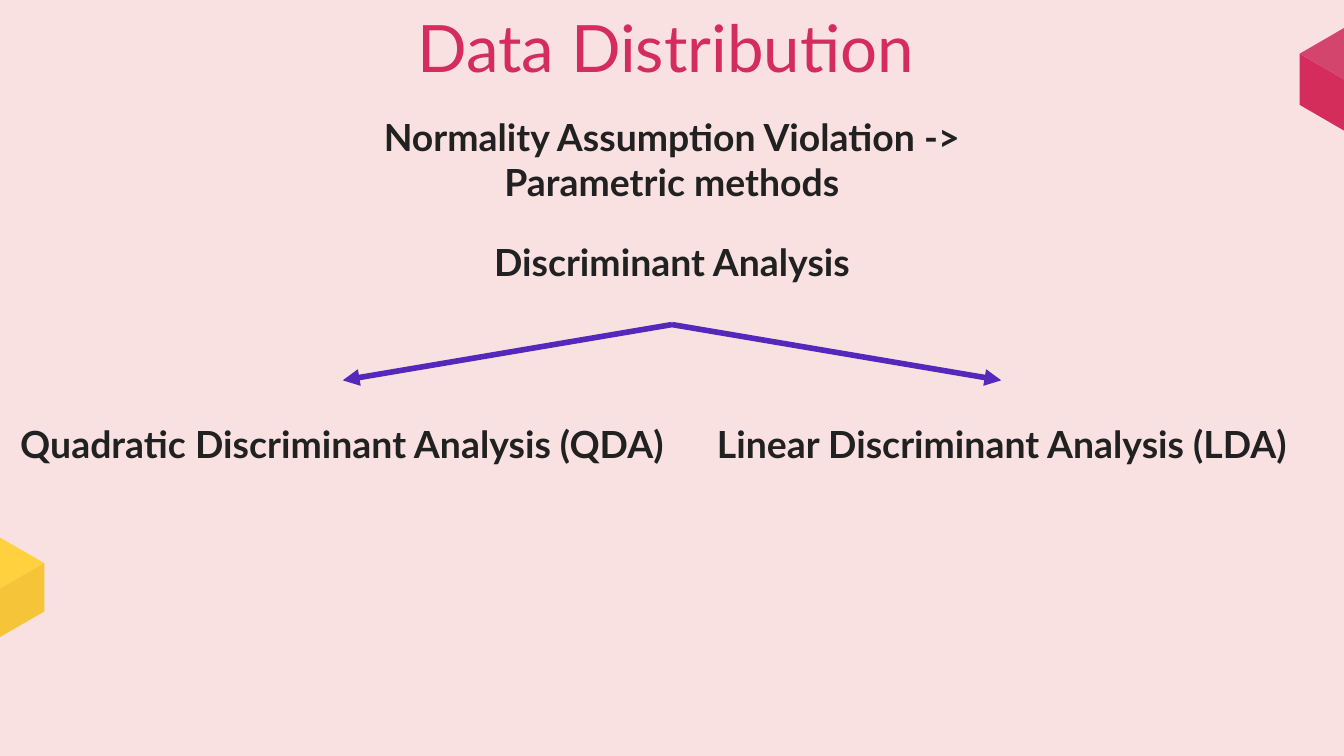
from lxml import etree
from pptx import Presentation
from pptx import util as u
from pptx.dml.color import RGBColor
from pptx.enum import shapes, text
from pptx.oxml import ns

PX = 4572  # 200 px to the inch
WIDTH, HEIGHT = 2000, 1125
BACKGROUND, PINK, DARK, PURPLE = "F9E1E1", "D42C5B", "212121", "5527BA"


def paint(fill, color):
    fill.solid()
    fill.fore_color.rgb = RGBColor.from_string(color)


def add_text(slide, box, content, size=20, color=DARK, bold=True):
    """Add centred text in a box of (left, top, width, height)."""
    shape = slide.shapes.add_textbox(*(n * PX for n in box))
    frame = shape.text_frame
    frame.word_wrap = True
    frame.vertical_anchor = text.MSO_ANCHOR.MIDDLE
    frame.margin_left = frame.margin_right = 20 * PX
    frame.margin_top = frame.margin_bottom = 20 * PX
    paragraph = frame.paragraphs[0]
    paragraph.alignment = text.PP_ALIGN.CENTER
    run = paragraph.add_run()
    run.text = content
    run.font.name = "Lato"
    run.font.size = u.Pt(size)
    run.font.bold = bold
    paint(run.font.fill, color)


def add_face(slide, points, color):
    builder = slide.shapes.build_freeform(*points[0], scale=PX)
    builder.add_line_segments(points[1:], close=True)
    shape = builder.convert_to_shape()
    shape.shadow.inherit = False
    shape.line.fill.background()
    paint(shape.fill, color)


def add_cube(slide, center, top, reach, rise, depth, colors):
    """Add a top face and one side face; a negative reach turns the side left."""
    middle, bottom = top + rise, top + 2 * rise
    corner = (center + reach, middle)
    add_face(slide, [(center, top), (center - reach, middle),
                     (center, bottom), corner], colors[0])
    add_face(slide, [corner, (center, bottom), (center, bottom + depth),
                     (center + reach, middle + depth)], colors[1])


def add_arrow(slide, start, end):
    arrow = slide.shapes.add_connector(
        shapes.MSO_CONNECTOR.STRAIGHT, *(n * PX for n in start + end))
    arrow.line.width = u.Pt(3)
    paint(arrow.line.fill, PURPLE)
    line = arrow.line._get_or_add_ln()
    etree.SubElement(line, ns.qn("a:tailEnd"), type="triangle")
    etree.SubElement(arrow._element.spPr, ns.qn("a:effectLst"))


def add_branches(slide, box, root, leaves):
    """Add a root label with an arrow to each of two leaf labels."""
    left, top, width, height = box
    label_width, label_height, reach = 1018, 188, 490
    center = left + width // 2
    fork = top + label_height
    leaf_top = top + height - label_height
    leaf_lefts = (left, left + width - label_width)
    for leaf, leaf_left in zip(leaves, leaf_lefts):
        add_text(slide, (leaf_left, leaf_top, label_width, label_height), leaf)
    add_text(slide, (center - label_width // 2, top, label_width, label_height), root)
    for side in (-1, 1):
        add_arrow(slide, (center, fork), (center + side * reach, leaf_top))


def main():
    presentation = Presentation()
    presentation.slide_width = WIDTH * PX
    presentation.slide_height = HEIGHT * PX
    slide = presentation.slides.add_slide(presentation.slide_layouts[6])
    paint(slide.background.fill, BACKGROUND)

    add_cube(slide, 0, 800, 66, 38, 72, ("FFD13E", "F5C438"))
    add_cube(slide, 2003, 40, -69, 40, 76, ("D4456D", PINK))
    add_text(slide, (447, 0, 1088, 138), "Data Distribution",
             size=35, color=PINK, bold=False)
    add_text(slide, (473, 138, 1054, 198),
             "Normality Assumption Violation -> Parametric methods")
    add_branches(slide, (0, 295, WIDTH, 459), "Discriminant Analysis",
                 ("Quadratic Discriminant Analysis (QDA)",
                  "Linear Discriminant Analysis (LDA)"))
    presentation.save("out.pptx")


if __name__ == "__main__":
    main()
